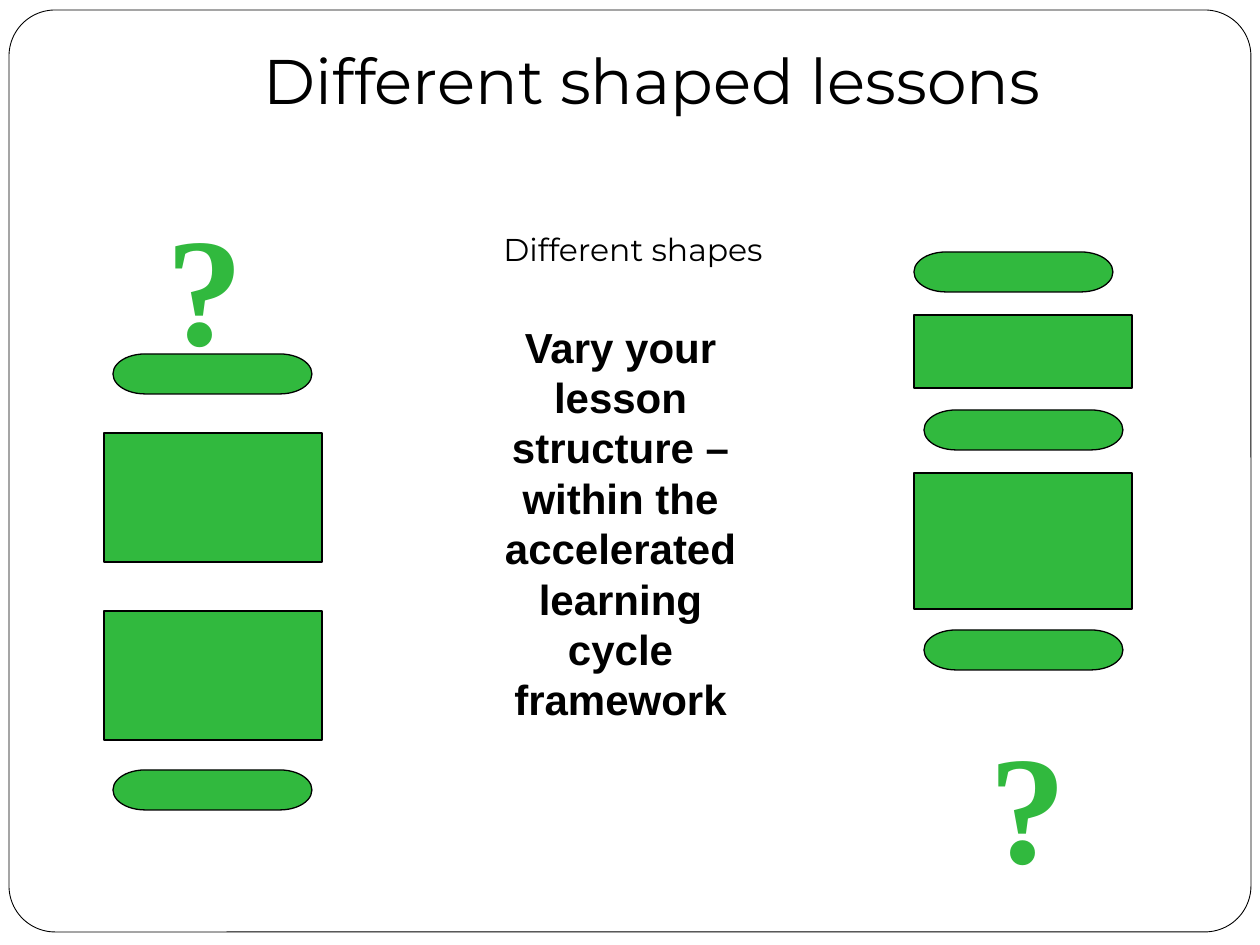
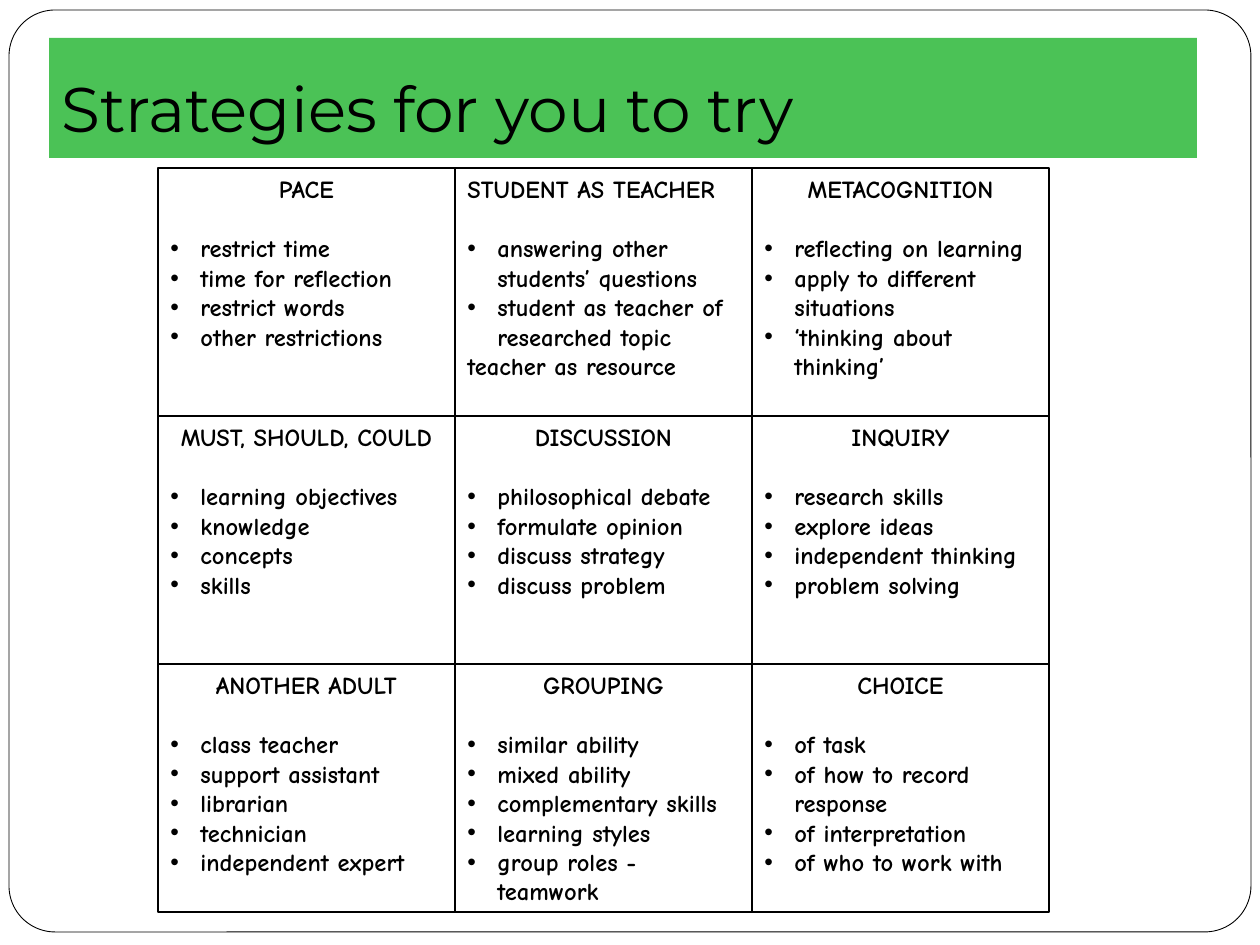
from dataclasses import dataclass
from lxml.etree import SubElement
from pptx import Presentation
from pptx.dml.color import RGBColor
from pptx.enum.shapes import MSO_SHAPE as Kind
from pptx.enum.text import MSO_ANCHOR as Anchor, MSO_AUTO_SIZE as AutoSize, PP_ALIGN as Align
from pptx.oxml.ns import qn
from pptx.util import Emu, Pt


@dataclass(frozen=True)
class Theme:
    black: RGBColor = RGBColor.from_string("000000")
    white: RGBColor = RGBColor.from_string("FFFFFF")
    green: RGBColor = RGBColor.from_string("31B93E")
    title_font: str = "Montserrat"
    advice_font: str = "Arial"
    mark_font: str = "Times New Roman"
    card_font: str = "Comic Neue"
    title_size: int = 36
    caption_size: int = 18
    advice_size: int = 24
    mark_size: int = 88
    card_size: int = 14
    heading_gap: int = 17
    frame_line: float = 0.5
    shape_line: float = 0.75
    band_opacity: int = 87000


THEME = Theme()
EMU_PER_PX = 914400 / 126
SLIDE_SIZE = (1260, 945)
FRAME = (9, 10, 1242, 922)
FRAME_CORNER = 0.05

LESSONS_TITLE = "Different shaped lessons"
LESSONS_TITLE_BOX = (44, 35, 1216, 88)
CAPTION = "Different shapes"
CAPTION_BOX = (491, 224, 309, 50)
ADVICE = "Vary your lesson structure – within the accelerated learning cycle framework"
ADVICE_BOX = (472, 315, 297, 416)
MARK = "?"
MARK_BOXES = [(154, 185, 268, 198), (977, 703, 179, 198)]
BLOCK_WIDTH = 218
BLOCKS = [(104, 433, 129), (104, 611, 129), (914, 315, 73), (914, 473, 136)]
PILL_SIZE = (199, 40)
PILLS = [(113, 354), (113, 770), (914, 252), (924, 410), (924, 630)]

STRATEGIES_TITLE = "Strategies for you to try"
STRATEGIES_TITLE_BOX = (49, 38, 1148, 120)
GRID_ORIGIN = (158, 168)
CARD_SIZE = (297, 248)
GRID_COLUMNS = 3
BULLET_INDENT = 30
CARDS = [
    ("PACE", ["restrict time", "time for reflection", "restrict words", "other restrictions"]),
    ("STUDENT AS TEACHER", ["answering other students’ questions",
                            "student as teacher of researched topic", "teacher as resource"]),
    ("METACOGNITION", ["reflecting on learning", "apply to different situations",
                       "‘thinking about thinking’"]),
    ("MUST, SHOULD, COULD", ["learning objectives", "knowledge", "concepts", "skills"]),
    ("DISCUSSION", ["philosophical debate", "formulate opinion", "discuss strategy",
                    "discuss problem"]),
    ("INQUIRY", ["research skills", "explore ideas", "independent thinking", "problem solving"]),
    ("ANOTHER ADULT", ["class teacher", "support assistant", "librarian", "technician",
                       "independent expert"]),
    ("GROUPING", ["similar ability", "mixed ability", "complementary skills", "learning styles",
                  "group roles - teamwork"]),
    ("CHOICE", ["of task", "of how to record response", "of interpretation",
                "of who to work with"]),
]
LEFT_HEADINGS = {"STUDENT AS TEACHER"}
UNBULLETED = {"teacher as resource"}


def px(length):
    return Emu(round(length * EMU_PER_PX))


def place(box):
    return [px(length) for length in box]


def style(paragraph, font, size, color, bold=False, align=Align.LEFT):
    paragraph.alignment = align
    for run in paragraph.runs:
        run.font.name = font
        run.font.size = Pt(size)
        run.font.bold = bold
        run.font.color.rgb = color


def add_outlined(slide, kind, box, fill, width):
    outlined = slide.shapes.add_shape(kind, *place(box))
    outlined.shadow.inherit = False
    outlined.fill.solid()
    outlined.fill.fore_color.rgb = fill
    outlined.line.color.rgb = THEME.black
    outlined.line.width = Pt(width)
    return outlined


def add_label(slide, box, text, *look, **options):
    frame = slide.shapes.add_textbox(*place(box)).text_frame
    frame.word_wrap = True
    frame.text = text
    style(frame.paragraphs[0], *look, **options)


def add_titled_slide(deck, text, box, align, anchor):
    slide = deck.slides.add_slide(deck.slide_layouts[5])
    border = add_outlined(slide, Kind.ROUNDED_RECTANGLE, FRAME, THEME.white, THEME.frame_line)
    border.adjustments[0] = FRAME_CORNER
    slide.shapes.element.insert(2, border.element)
    title = slide.shapes.title
    title.left, title.top, title.width, title.height = place(box)
    frame = title.text_frame
    frame.text = text
    frame.vertical_anchor = anchor
    frame.auto_size = AutoSize.NONE
    style(frame.paragraphs[0], THEME.title_font, THEME.title_size, THEME.black, align=align)
    return slide


def add_bullet(paragraph):
    properties = paragraph._p.get_or_add_pPr()
    properties.set("marL", str(px(BULLET_INDENT)))
    properties.set("indent", str(-px(BULLET_INDENT)))
    SubElement(properties, qn("a:buFont"), typeface="Arial")
    SubElement(properties, qn("a:buChar"), char="•")


def add_card(slide, box, heading, ideas):
    card = add_outlined(slide, Kind.RECTANGLE, box, THEME.white, THEME.shape_line)
    frame = card.text_frame
    frame.word_wrap = True
    frame.vertical_anchor = Anchor.TOP
    frame.text = "\n".join([heading, *ideas])
    look = (THEME.card_font, THEME.card_size, THEME.black, True)
    top, *rest = frame.paragraphs
    style(top, *look, align=Align.LEFT if heading in LEFT_HEADINGS else Align.CENTER)
    top.space_after = Pt(THEME.heading_gap)
    for paragraph in rest:
        if paragraph.text not in UNBULLETED:
            add_bullet(paragraph)
        style(paragraph, *look)


def build_lessons(deck):
    slide = add_titled_slide(deck, LESSONS_TITLE, LESSONS_TITLE_BOX, Align.CENTER, Anchor.TOP)
    add_label(slide, ADVICE_BOX, ADVICE, THEME.advice_font, THEME.advice_size, THEME.black,
              bold=True, align=Align.CENTER)
    for left, top, height in BLOCKS:
        add_outlined(slide, Kind.FLOWCHART_PROCESS, (left, top, BLOCK_WIDTH, height),
                     THEME.green, THEME.shape_line)
    for corner in PILLS:
        add_outlined(slide, Kind.FLOWCHART_TERMINATOR, corner + PILL_SIZE,
                     THEME.green, THEME.shape_line)
    add_label(slide, CAPTION_BOX, CAPTION, THEME.title_font, THEME.caption_size, THEME.black)
    for box in MARK_BOXES:
        add_label(slide, box, MARK, THEME.mark_font, THEME.mark_size, THEME.green, bold=True)


def build_strategies(deck):
    slide = add_titled_slide(deck, STRATEGIES_TITLE, STRATEGIES_TITLE_BOX, Align.LEFT,
                             Anchor.BOTTOM)
    band = slide.shapes.title
    band.text_frame.margin_bottom = px(13)
    band.fill.solid()
    band.fill.fore_color.rgb = THEME.green
    tint = band.element.spPr.find(f"{qn('a:solidFill')}/{qn('a:srgbClr')}")
    SubElement(tint, qn("a:alpha"), val=str(THEME.band_opacity))
    width, height = CARD_SIZE
    for index, (heading, ideas) in enumerate(CARDS):
        row, column = divmod(index, GRID_COLUMNS)
        corner = (GRID_ORIGIN[0] + column * width, GRID_ORIGIN[1] + row * height)
        add_card(slide, corner + CARD_SIZE, heading, ideas)


def main():
    deck = Presentation()
    deck.slide_width, deck.slide_height = place(SLIDE_SIZE)
    build_lessons(deck)
    build_strategies(deck)
    deck.save("out.pptx")


if __name__ == "__main__":
    main()
